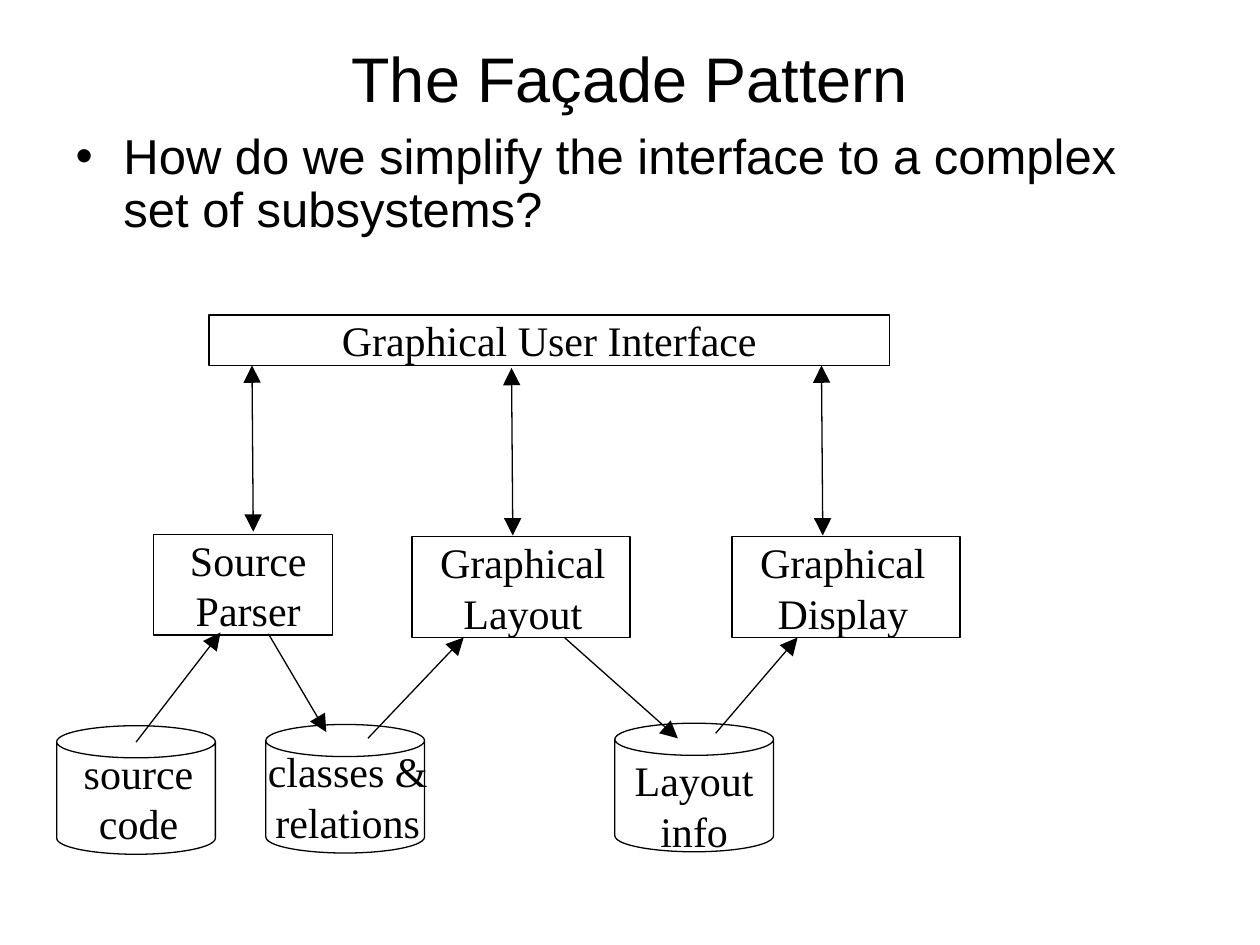
from lxml import etree
from pptx import Presentation
from pptx import util as u
from pptx.dml.color import RGBColor
from pptx.enum import shapes, text
from pptx.oxml.ns import qn

BLACK = RGBColor(0, 0, 0)
LINE_WIDTH = u.Pt(0.75)
BOX_H = 0.8
CAN_W, CAN_H = 1.26, 1.02
LABEL_W = 1.5


def write(tf, lines, font, size, align, **frame):
    """Fill a text frame with one paragraph per line."""
    for name, value in frame.items():
        setattr(tf, name, value)
    for i, line in enumerate(lines):
        p = tf.paragraphs[0] if i == 0 else tf.add_paragraph()
        p.alignment = align
        r = p.add_run()
        r.text = line
        for name, value in {"name": font, "size": u.Pt(size)}.items():
            setattr(r.font, name, value)
        r.font.color.rgb = BLACK


def label(tf, lines, shift=0):
    """Write centred diagram text, its centre moved right by half the shift."""
    write(tf, lines, "Times New Roman", 24, text.PP_ALIGN.CENTER,
          margin_left=u.Inches(max(shift, 0)), margin_right=u.Inches(max(-shift, 0)),
          margin_top=0, margin_bottom=0, word_wrap=True,
          vertical_anchor=text.MSO_ANCHOR.TOP)


def outline(s, kind, x, y, w, h):
    """Add an unfilled shape with a thin black line."""
    sp = s.shapes.add_shape(kind, *map(u.Inches, (x, y, w, h)))
    sp.shadow.inherit = False
    sp.fill.background()
    sp.line.color.rgb = BLACK
    sp.line.width = LINE_WIDTH
    return sp


def arrow(s, start, end, both=False):
    """Draw an arrow between two points, with a second head if asked."""
    c = s.shapes.add_connector(shapes.MSO_CONNECTOR.STRAIGHT, *map(u.Inches, (*start, *end)))
    c.line.color.rgb = BLACK
    c.line.width = LINE_WIDTH
    ln = c.line._get_or_add_ln()
    for tag in ("a:headEnd", "a:tailEnd") if both else ("a:tailEnd",):
        etree.SubElement(ln, qn(tag), type="triangle", w="lg", len="lg")
    etree.SubElement(c._element.spPr, qn("a:effectLst"))


def heading(s, x, y, w):
    """Place the title and the bulleted question."""
    title, body = s.shapes.title, s.placeholders[1]
    for sp, top, h in ((title, y, 0.62), (body, y + 0.7, 0.97)):
        sp.left, sp.top, sp.width, sp.height = map(u.Inches, (x, top, w, h))
        sp.text_frame.auto_size = text.MSO_AUTO_SIZE.NONE
    write(title.text_frame, ["The Façade Pattern"], "Arial", 36, text.PP_ALIGN.CENTER,
          vertical_anchor=text.MSO_ANCHOR.MIDDLE)
    write(body.text_frame, ["How do we simplify the interface to a complex set of subsystems?"],
          "Arial", 28, text.PP_ALIGN.LEFT, vertical_anchor=text.MSO_ANCHOR.TOP)
    p = body.text_frame.paragraphs[0]
    for name, value in {"line_spacing": 0.9, "space_before": u.Pt(7)}.items():
        setattr(p, name, value)
    pPr = p._p.get_or_add_pPr()
    pPr.set("marL", str(u.Inches(0.38)))
    pPr.set("indent", str(u.Inches(-0.38)))
    etree.SubElement(pPr, qn("a:buFont"), typeface="Arial")
    etree.SubElement(pPr, qn("a:buChar"), char="•")


def subsystems(s, x, y):
    """Draw the interface bar and the three subsystems it talks to."""
    bar = outline(s, shapes.MSO_SHAPE.RECTANGLE, x + 0.44, y, 5.4, 0.4)
    label(bar.text_frame, ["Graphical User Interface"])
    for dx, dy, w, lines, shift in (
            (0, 1.74, 1.42, ["Source", "Parser"], 0.08),
            (2.05, 1.76, 1.73, ["Graphical", "Layout"], 0.03),
            (4.59, 1.76, 1.81, ["Graphical", "Display"], -0.05)):
        box = outline(s, shapes.MSO_SHAPE.RECTANGLE, x + dx, y + dy, w, BOX_H)
        label(box.text_frame, lines, shift)
    for dx, top, bottom in ((0.78, 0.4, 1.72), (2.84, 0.42, 1.75), (5.3, 0.4, 1.75)):
        arrow(s, (x + dx, y + top), (x + dx + 0.01, y + bottom), both=True)


def stores(s, x, y):
    """Draw the data stores with their labels."""
    inset = (CAN_W - LABEL_W) / 2
    for dx, dy, lines, text_dx, text_dy in (
            (0, 0.02, ["source", "code"], 0.02, 0.17),
            (1.66, 0.01, ["classes &", "relations"], 0.02, 0.17),
            (4.43, 0, ["Layout", "info"], 0, 0.25)):
        can = outline(s, shapes.MSO_SHAPE.CAN, x + dx, y + dy, CAN_W, CAN_H)
        can.adjustments[0] = 0.25
        tb = s.shapes.add_textbox(*map(u.Inches, (
            x + dx + inset + text_dx, y + dy + text_dy, LABEL_W, BOX_H)))
        label(tb.text_frame, lines)


def data_flow(s, x, y):
    """Draw the arrows between the subsystems and the data stores."""
    for start, end in (
            ((0.63, 0.87), (1.3, 0)),
            ((1.68, 0.01), (2.14, 0.79)),
            ((2.47, 0.84), (3.23, 0.04)),
            ((4.03, 0.04), (4.93, 0.84)),
            ((5.23, 0.8), (5.88, 0.04))):
        arrow(s, (x + start[0], y + start[1]), (x + end[0], y + end[1]))


def main():
    """Build the slide and save it."""
    prs = Presentation()
    prs.slide_width, prs.slide_height = u.Inches(10), u.Inches(7.5)
    s = prs.slides.add_slide(prs.slide_layouts[1])
    heading(s, 0.5, 0.3, 9)
    subsystems(s, 1.22, 2.5)
    stores(s, 0.45, 5.74)
    data_flow(s, 0.45, 5.02)
    prs.save("out.pptx")


if __name__ == "__main__":
    main()
